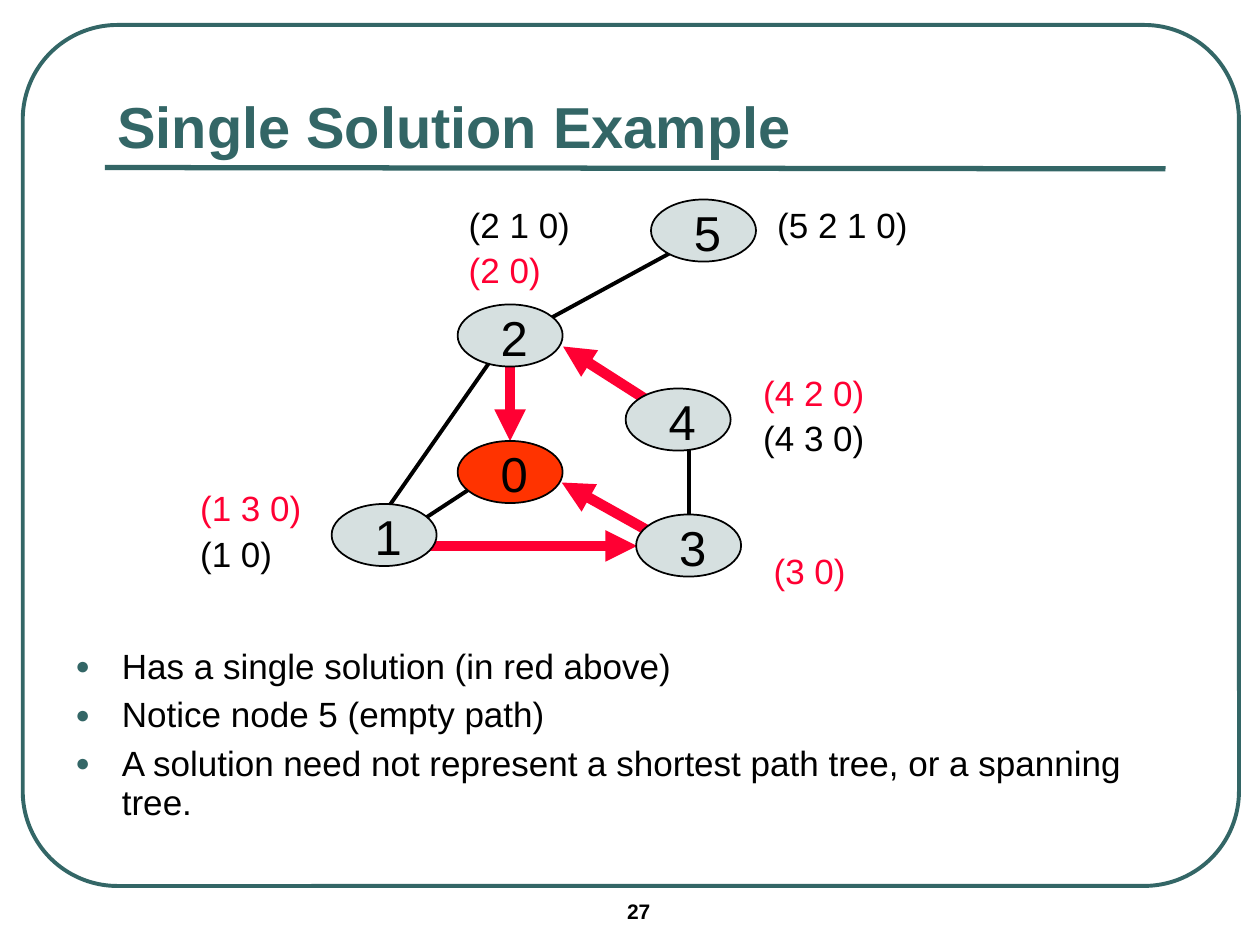
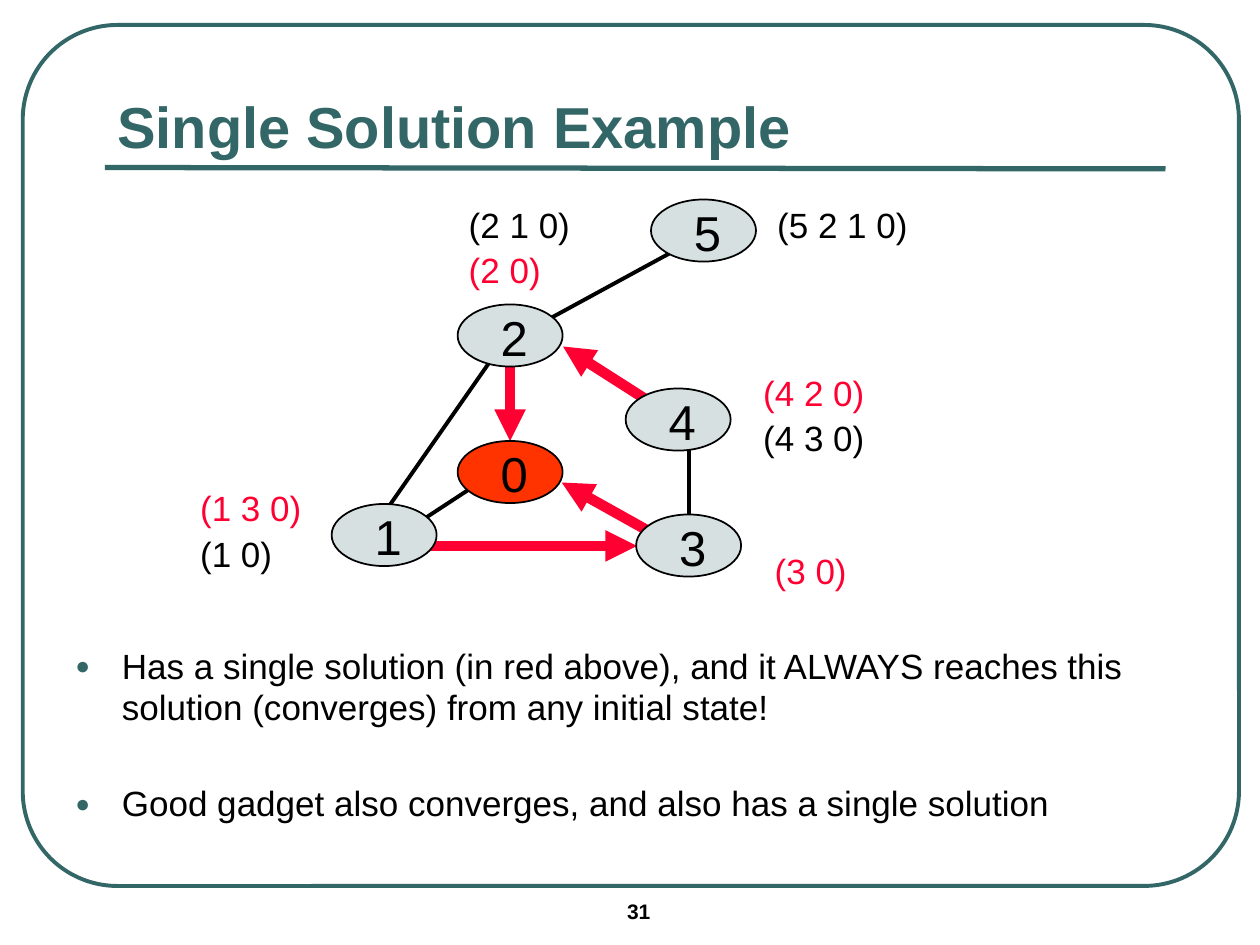
from dataclasses import dataclass

from lxml.etree import SubElement
from pptx import Presentation
from pptx.dml.color import RGBColor
from pptx.enum.shapes import MSO_CONNECTOR, MSO_SHAPE
from pptx.enum.text import MSO_ANCHOR
from pptx.oxml.ns import qn
from pptx.slide import Slide
from pptx.util import Pt

COLORS = {
    "teal": "336666",
    "text": "000000",
    "solution": "FF0033",
    "node": "D6E0E0",
    "origin": "FF3300",
}
FONT = "Arial"
NODE_W, NODE_H = 60, 35.5
BODY_SIZE = 20
FIRST_LINE, NEXT_LINE = 0.97, 1.06


@dataclass(frozen=True)
class Para:
    text: str
    color: str = "text"
    size: float = BODY_SIZE
    bold: bool = False
    line_spacing: float = FIRST_LINE
    space_before: float = 0
    bullet: bool = False


@dataclass(frozen=True)
class Node:
    name: str
    left: float
    top: float
    fill: str = "node"


@dataclass(frozen=True)
class Edge:
    x1: float
    y1: float
    x2: float
    y2: float
    chosen: bool = False


@dataclass(frozen=True)
class PathList:
    left: float
    top: float
    width: float
    paths: tuple[tuple[str, str], ...]


@dataclass(frozen=True)
class Page:
    number: str
    node3_paths_left: float
    bullets: tuple[Para, ...]


NODES = (
    Node("5", 372, 114),
    Node("0", 261.5, 252, "origin"),
    Node("3", 363.5, 294),
    Node("4", 357.5, 222),
    Node("2", 261.5, 174),
    Node("1", 189.5, 288),
)
EDGES = (
    Edge(306, 186.5, 396, 137.5),
    Edge(393.75, 246, 393.75, 312),
    Edge(286, 198, 219, 294),
    Edge(387.5, 240, 321.75, 198, True),
    Edge(291.5, 198, 291.5, 252, True),
    Edge(292, 264, 237, 300),
    Edge(376, 306.5, 321, 275.75, True),
    Edge(231, 312, 364, 312, True),
)
PATH_LISTS = (
    PathList(437, 114, 89.5, (("(5 2 1 0)", "text"),)),
    PathList(260.75, 114, 73, (("(2 1 0)", "text"), ("(2 0)", "solution"))),
    PathList(107.25, 276, 73, (("(1 3 0)", "solution"), ("(1 0)", "text"))),
    PathList(429, 210, 73, (("(4 2 0)", "solution"), ("(4 3 0)", "text"))),
)
PAGES = (
    Page("27", 435, (
        Para("Has a single solution (in red above)", bullet=True),
        Para("Notice node 5 (empty path)",
             line_spacing=0.94, space_before=5, bullet=True),
        Para("A solution need not represent a shortest path tree, or a spanning tree.",
             line_spacing=0.94, space_before=5, bullet=True),
    )),
    Page("31", 435.6, (
        Para("Has a single solution (in red above), and it ALWAYS reaches this "
             "solution (converges) from any initial state!", bullet=True),
        Para("Good gadget also converges, and also has a single solution",
             space_before=32, bullet=True),
    )),
)


def rgb(name: str) -> RGBColor:
    return RGBColor.from_string(COLORS[name])


def add_bullet(p) -> None:
    pPr = p._p.get_or_add_pPr()
    pPr.set("marL", str(Pt(26.6)))
    pPr.set("indent", str(Pt(-26.6)))
    color = SubElement(pPr, qn("a:buClr"))
    SubElement(color, qn("a:srgbClr"), val=COLORS["teal"])
    SubElement(pPr, qn("a:buSzPct"), val="70000")
    SubElement(pPr, qn("a:buFont"), typeface=FONT)
    SubElement(pPr, qn("a:buChar"), char="●")


def add_text(s: Slide, left: float, top: float, width: float, height: float,
             paras: tuple[Para, ...], wrap: bool = True,
             anchor: MSO_ANCHOR = MSO_ANCHOR.TOP) -> None:
    tf = s.shapes.add_textbox(Pt(left), Pt(top), Pt(width), Pt(height)).text_frame
    tf.word_wrap = wrap
    tf.vertical_anchor = anchor
    for i, para in enumerate(paras):
        p = tf.add_paragraph() if i else tf.paragraphs[0]
        if para.bullet:
            add_bullet(p)
        p.line_spacing = para.line_spacing
        if para.space_before:
            p.space_before = Pt(para.space_before)
        r = p.add_run()
        r.text = para.text
        r.font.name = FONT
        r.font.size = Pt(para.size)
        r.font.bold = para.bold
        r.font.color.rgb = rgb(para.color)


def add_line(s: Slide, x1: float, y1: float, x2: float, y2: float,
             color: str, width: float, arrow: bool = False) -> None:
    sp = s.shapes.add_connector(MSO_CONNECTOR.STRAIGHT, Pt(x1), Pt(y1), Pt(x2), Pt(y2))
    sp.line.color.rgb = rgb(color)
    sp.line.width = Pt(width)
    if arrow:
        SubElement(sp.line._get_or_add_ln(), qn("a:tailEnd"), type="triangle")
    SubElement(sp._element.spPr, qn("a:effectLst"))


def add_frame(s: Slide, number: str) -> None:
    add_text(s, 351.25, 511, 84, 21, (Para(number, size=12, bold=True),))
    sp = s.shapes.add_shape(MSO_SHAPE.ROUNDED_RECTANGLE,
                            Pt(13), Pt(14.25), Pt(695), Pt(492))
    sp.adjustments[0] = 0.11
    sp.shadow.inherit = False
    sp.fill.background()
    sp.line.color.rgb = rgb("teal")
    sp.line.width = Pt(2.25)
    add_line(s, 60, 95.75, 666, 96.5, "teal", 3)
    add_text(s, 60, 42, 606, 54,
             (Para("Single Solution Example", "teal", 33, True),),
             anchor=MSO_ANCHOR.BOTTOM)


def add_node(s: Slide, node: Node) -> None:
    sp = s.shapes.add_shape(MSO_SHAPE.OVAL, Pt(node.left), Pt(node.top),
                            Pt(NODE_W), Pt(NODE_H))
    sp.shadow.inherit = False
    sp.fill.solid()
    sp.fill.fore_color.rgb = rgb(node.fill)
    sp.line.color.rgb = rgb("text")
    sp.line.width = Pt(1)
    add_text(s, node.left + 17.5, node.top, 30, 39, (Para(node.name, size=28),), False)


def add_path_list(s: Slide, path_list: PathList) -> None:
    paras = tuple(Para(text, color, line_spacing=NEXT_LINE if i else FIRST_LINE)
                  for i, (text, color) in enumerate(path_list.paths))
    height = 29.5 + 24.5 * (len(paras) - 1)
    add_text(s, path_list.left, path_list.top, path_list.width, height, paras, False)


def add_graph(s: Slide, node3_paths_left: float) -> None:
    for edge in EDGES:
        add_line(s, edge.x1, edge.y1, edge.x2, edge.y2,
                 "solution" if edge.chosen else "text",
                 6 if edge.chosen else 2.25, edge.chosen)
    for node in NODES:
        add_node(s, node)
    node3_paths = PathList(node3_paths_left, 312, 56, (("(3 0)", "solution"),))
    for path_list in (*PATH_LISTS, node3_paths):
        add_path_list(s, path_list)


def main() -> None:
    prs = Presentation()
    prs.slide_width, prs.slide_height = Pt(720), Pt(540)
    for page in PAGES:
        s = prs.slides.add_slide(prs.slide_layouts[6])
        add_frame(s, page.number)
        add_text(s, 36, 366, 648, 126, page.bullets)
        add_graph(s, page.node3_paths_left)
    prs.save("out.pptx")


if __name__ == "__main__":
    main()
